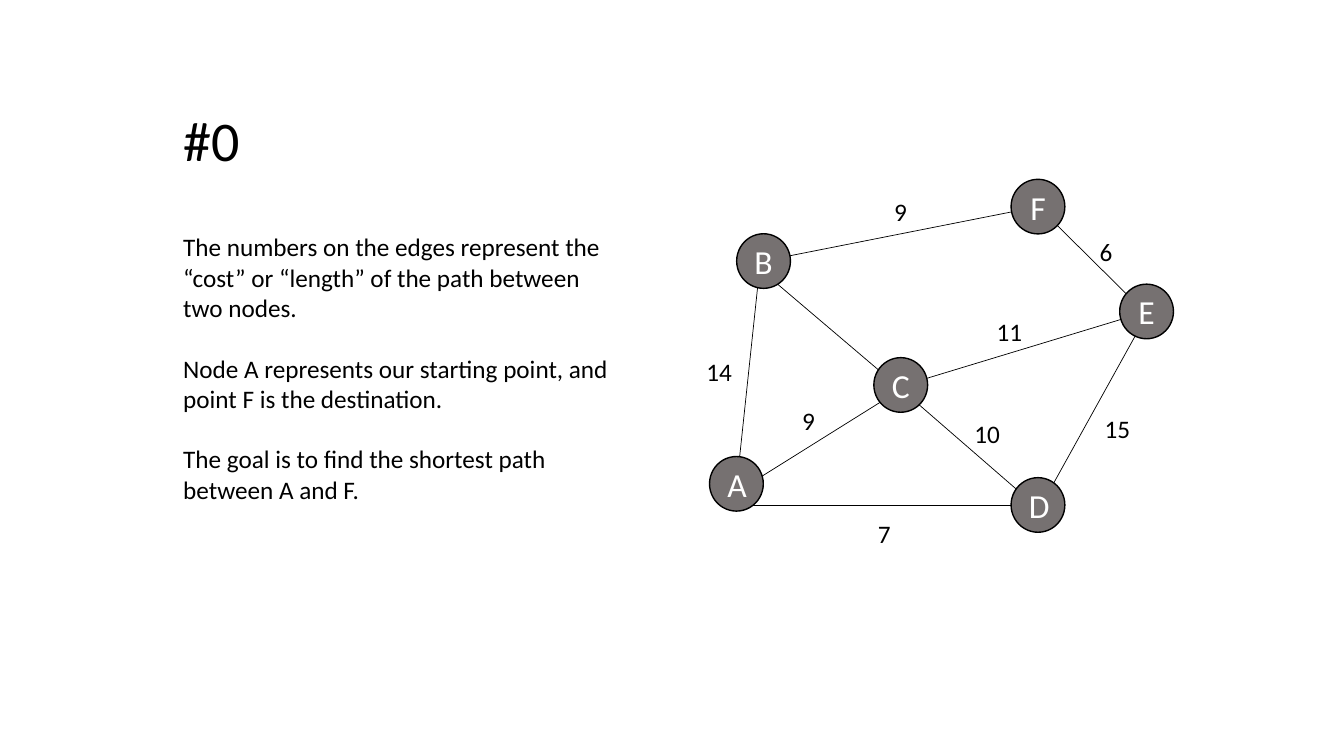
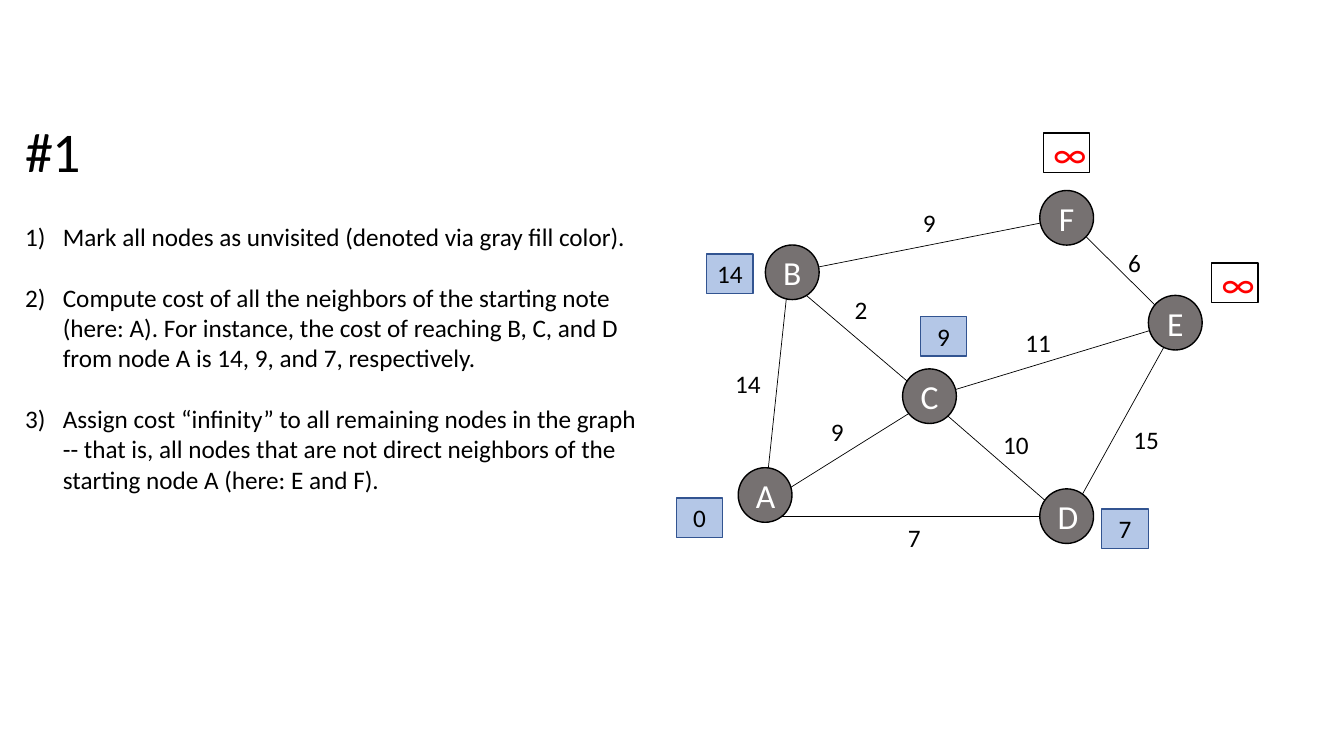
from typing import Any, NamedTuple

from lxml.etree import SubElement
from pptx import Presentation
from pptx.dml.color import RGBColor
from pptx.enum.shapes import MSO_CONNECTOR, MSO_SHAPE
from pptx.enum.text import MSO_ANCHOR as ANC, MSO_AUTO_SIZE as AUTO, PP_ALIGN as AL
from pptx.oxml.ns import qn
from pptx.util import Pt

BLACK = RGBColor(0x00, 0x00, 0x00)
WHITE = RGBColor(0xFF, 0xFF, 0xFF)
GRAY = RGBColor(0x76, 0x71, 0x71)
RED = RGBColor(0xFF, 0x00, 0x00)
PALE_BLUE = RGBColor(0xB4, 0xC7, 0xE7)
DEEP_BLUE = RGBColor(0x32, 0x54, 0x91)

TITLE_SIZE, NODE_SIZE, TEXT_SIZE, INFINITY_SIZE = 40, 24, 18, 28
PARAGRAPH_GAP = 21.75
LIST_INDENT = 27
NODE_W, NODE_H = 38.4, 39
BADGE_W, BADGE_H = 33.2, 28.2
LABEL_W, LABEL_H = 47.5, 28.8
TEXT_FRAME = {"word_wrap": True, "auto_size": AUTO.SHAPE_TO_FIT_TEXT}
TITLE_FRAME = {"word_wrap": False, "auto_size": AUTO.SHAPE_TO_FIT_TEXT}
SHAPE_FRAME = {"word_wrap": True, "vertical_anchor": ANC.MIDDLE}


class Node(NamedTuple):
    """A graph node, placed by its centre."""
    name: str
    x: float
    y: float


class Edge(NamedTuple):
    """A line between two points under the nodes."""
    x1: float
    y1: float
    x2: float
    y2: float


class Label(NamedTuple):
    """The cost beside an edge, placed by its top left corner."""
    text: str
    x: float
    y: float
    w: float = LABEL_W


class Badge(NamedTuple):
    """The cost of reaching a node, placed by its top left corner."""
    text: str
    x: float
    y: float
    fill: RGBColor = PALE_BLUE
    line: RGBColor = DEEP_BLUE
    color: RGBColor = BLACK
    size: float = TEXT_SIZE


class Step(NamedTuple):
    """Everything that differs between the slides."""
    title: str
    title_at: tuple[float, float]
    body: list[str]
    body_at: tuple[float, float, float, float]
    numbered: bool
    shift: tuple[float, float]
    labels: list[Label]
    badges: list[Badge]


NODES = [
    Node("A", 526, 345.6), Node("B", 545.4, 186.5), Node("C", 643.4, 275),
    Node("D", 741.4, 360.7), Node("F", 741.4, 147.6), Node("E", 819, 222.5),
]
EDGES = [
    Edge(741.6, 147.6, 819.4, 224.6),
    Edge(819.4, 222.5, 643.7, 275.8),
    Edge(545, 186.5, 741.6, 147.6),
    Edge(537.8, 188, 643.7, 278),
    Edge(543, 188, 526.3, 345.6),
    Edge(741.6, 360.7, 524.2, 360.7),
    Edge(819.4, 224.6, 741.6, 365),
    Edge(526.3, 351.4, 643.7, 278),
    Edge(741.6, 363, 643.7, 278),
]
LABELS = [
    Label("10", 689, 295.2), Label("9", 565.9, 285.8), Label("14", 497.5, 251.3),
    Label("9", 631.6, 136.8), Label("6", 778.3, 165.2), Label("11", 704.9, 222.5),
    Label("15", 782, 291.6),
]
INFINITY = (WHITE, BLACK, RED, INFINITY_SIZE)

STEPS = [
    Step(
        "#0", (123.8, 72),
        ["The numbers on the edges represent the “cost” or “length” of the path "
         "between two nodes.",
         "Node A represents our starting point, and point F is the destination.",
         "The goal is to find the shortest path between A and F."],
        (123.8, 162, 327.6, 203.8), False, (0, 0),
        [Label("7", 620, 366.5, 19.4)], [],
    ),
    Step(
        "#1", (10.8, 80),
        ["Mark all nodes as unvisited (denoted via gray fill color).",
         "Compute cost of all the neighbors of the starting note (here: A). For "
         "instance, the cost of reaching B, C, and D from node A is 14, 9, and 7, "
         "respectively.",
         "Assign cost “infinity” to all remaining nodes in the graph -- that is, all "
         "nodes that are not direct neighbors of the starting node A (here: E and F)."],
        (10.8, 154.8, 458.6, 247), True, (20.5, 8),
        [Label("7", 621, 361.4, 19.4), Label("2", 582.9, 198.6)],
        [Badge("14", 504.7, 181.4), Badge("0", 483.1, 355.7),
         Badge("∞", 865.4, 187.9, *INFINITY), Badge("∞", 745.2, 95, *INFINITY),
         Badge("9", 657.4, 226.1), Badge("7", 787, 363.6)],
    ),
]


def apply(target: Any, values: dict[str, Any]) -> None:
    """Set every attribute named in values."""
    for name, value in values.items():
        setattr(target, name, value)


def write(p: Any, text: str, size: float, color: RGBColor = BLACK) -> None:
    """Add one run to a paragraph."""
    r = p.add_run()
    r.text = text
    apply(r.font, {"name": "Calibri", "size": Pt(size)})
    r.font.color.rgb = color


def number(p: Any) -> None:
    """Give a paragraph an automatic number and a hanging indent."""
    pPr = p._p.get_or_add_pPr()
    pPr.set("marL", str(Pt(LIST_INDENT)))
    pPr.set("indent", str(-Pt(LIST_INDENT)))
    SubElement(pPr, qn("a:buFont"), typeface="+mj-lt")
    SubElement(pPr, qn("a:buAutoNum"), type="arabicParenR")


def add_text(s: Any, box: tuple[float, ...], lines: list[str], size: float,
             frame: dict[str, Any], numbered: bool = False) -> None:
    """Add a text box with one paragraph a line."""
    tf = s.shapes.add_textbox(*map(Pt, box)).text_frame
    apply(tf, frame)
    for i, line in enumerate(lines):
        p = tf.add_paragraph() if i else tf.paragraphs[0]
        if i:
            p.space_before = Pt(PARAGRAPH_GAP)
        if numbered:
            number(p)
        write(p, line, size)


def add_edge(s: Any, edge: Edge, dx: float, dy: float) -> None:
    """Draw a thin black line."""
    ends = (edge.x1 + dx, edge.y1 + dy, edge.x2 + dx, edge.y2 + dy)
    line = s.shapes.add_connector(MSO_CONNECTOR.STRAIGHT, *map(Pt, ends))
    line.line.color.rgb = BLACK
    line.line.width = Pt(0.5)
    SubElement(line._element.spPr, qn("a:effectLst"))


def add_shape(s: Any, kind: MSO_SHAPE, box: tuple[float, ...], text: str, size: float,
              fill: RGBColor, line: RGBColor, color: RGBColor) -> None:
    """Draw a filled shape with centred text."""
    sp = s.shapes.add_shape(kind, *map(Pt, box))
    sp.shadow.inherit = False
    sp.fill.solid()
    sp.fill.fore_color.rgb = fill
    sp.line.color.rgb = line
    sp.line.width = Pt(1)
    apply(sp.text_frame, SHAPE_FRAME)
    p = sp.text_frame.paragraphs[0]
    p.alignment = AL.CENTER
    write(p, text, size, color)


def add_graph(s: Any, labels: list[Label], dx: float, dy: float) -> None:
    """Draw the edges, the nodes over them and the edge costs."""
    for edge in EDGES:
        add_edge(s, edge, dx, dy)
    for node in NODES:
        box = (node.x + dx - NODE_W / 2, node.y + dy - NODE_H / 2, NODE_W, NODE_H)
        add_shape(s, MSO_SHAPE.OVAL, box, node.name, NODE_SIZE, GRAY, BLACK, WHITE)
    for label in LABELS + labels:
        box = (label.x + dx, label.y + dy, label.w, LABEL_H)
        add_text(s, box, [label.text], TEXT_SIZE, TEXT_FRAME)


def add_step(prs: Any, step: Step) -> None:
    """Build one slide."""
    s = prs.slides.add_slide(prs.slide_layouts[6])
    add_graph(s, step.labels, *step.shift)
    for badge in step.badges:
        add_shape(s, MSO_SHAPE.RECTANGLE, (badge.x, badge.y, BADGE_W, BADGE_H), badge.text,
                  badge.size, badge.fill, badge.line, badge.color)
    add_text(s, step.body_at, step.body, TEXT_SIZE, TEXT_FRAME, step.numbered)
    add_text(s, (*step.title_at, 54.7, 55.4), [step.title], TITLE_SIZE, TITLE_FRAME)


def main() -> None:
    """Build and save the presentation."""
    prs = Presentation()
    apply(prs, {"slide_width": Pt(960), "slide_height": Pt(540)})
    for step in STEPS:
        add_step(prs, step)
    prs.save("out.pptx")


main()
